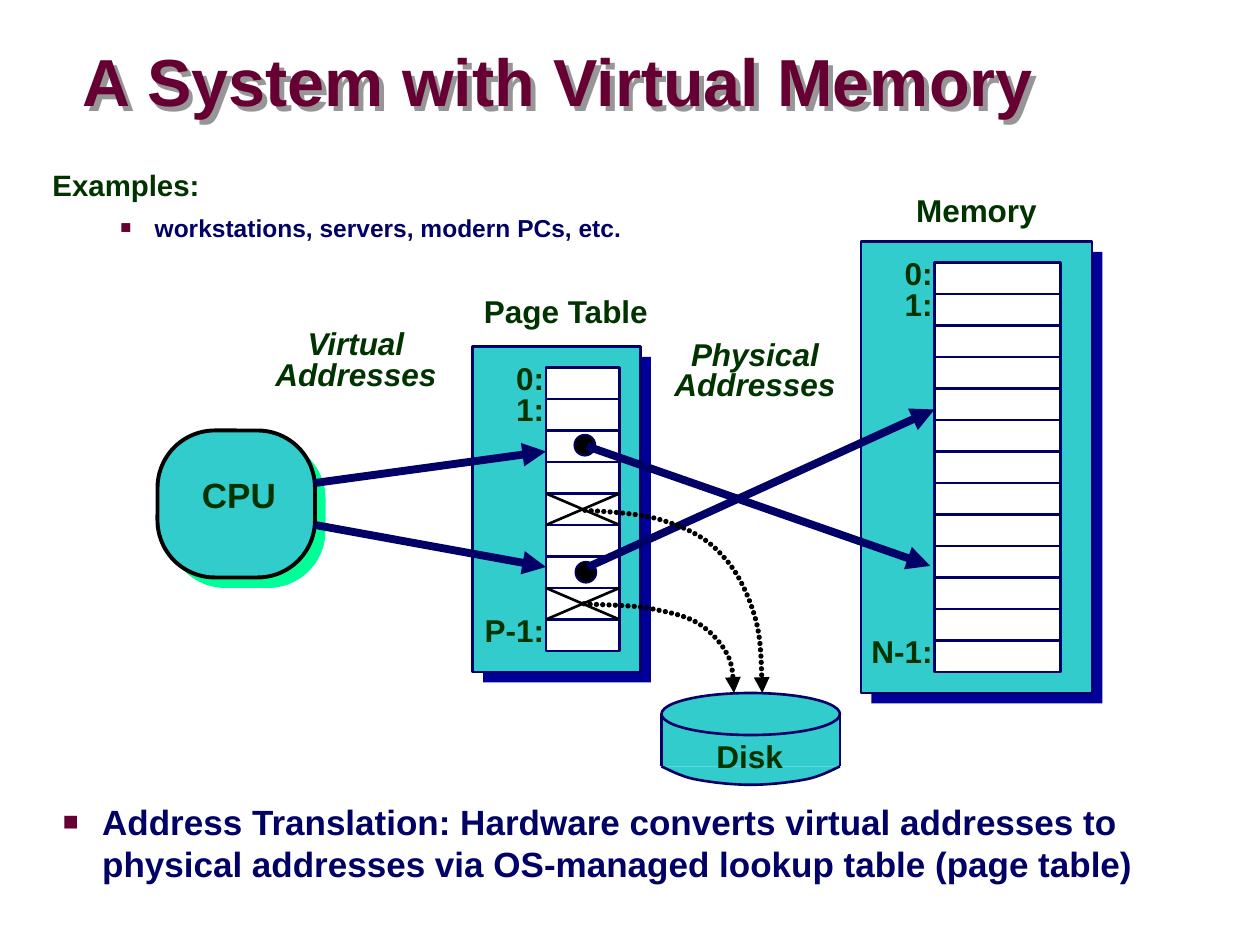
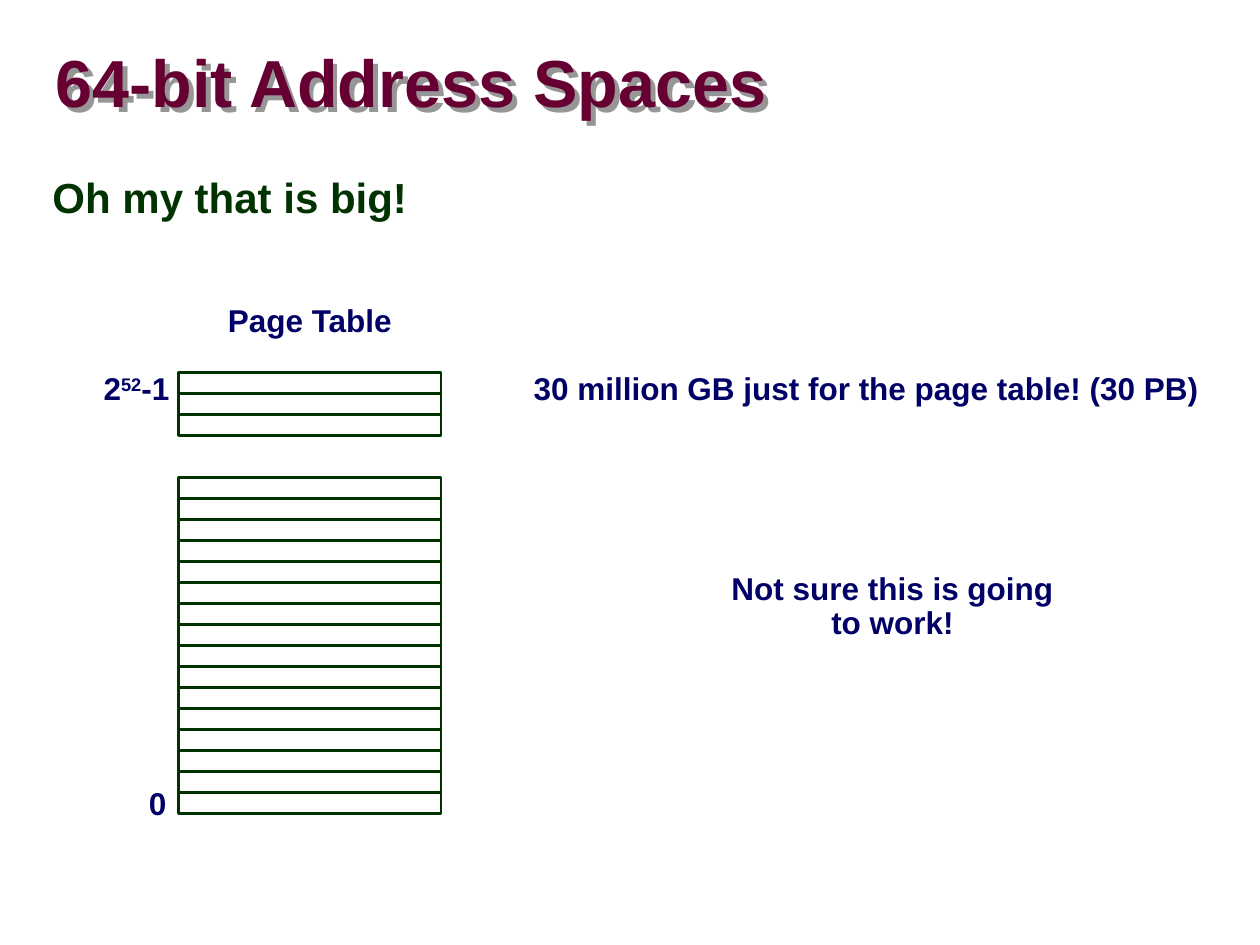
"""Build two slides on virtual memory and page tables."""
import dataclasses

import lxml.etree
import pptx
import pptx.dml.color
import pptx.enum.shapes
import pptx.enum.text
import pptx.oxml.ns
import pptx.util

Cm, Pt = pptx.util.Cm, pptx.util.Pt
SHAPE = pptx.enum.shapes.MSO_SHAPE
ALIGN = pptx.enum.text.PP_ALIGN
ANCHOR = pptx.enum.text.MSO_ANCHOR
qn = pptx.oxml.ns.qn


@dataclasses.dataclass(frozen=True)
class Theme:
    font: str = "Arial"
    maroon: str = "660033"
    green: str = "003300"
    navy: str = "000066"
    blue: str = "000099"
    teal: str = "33CCCC"
    mint: str = "00FF99"
    white: str = "FFFFFF"
    black: str = "000000"
    grey: str = "969696"
    title: float = 38
    lead: float = 24
    large: float = 20
    label: float = 18
    small: float = 16.8
    item: float = 14


def rgb(color):
    return pptx.dml.color.RGBColor.from_string(color)


def grid(*values):
    return [Cm(v * 2.54 / 12) for v in values]


def add(parent, tag, **attrs):
    return lxml.etree.SubElement(parent, qn(tag), attrs)


def bezier(points, steps=10):
    curve = [points[0]]
    for i in range(0, len(points) - 1, 3):
        a, b, c, d = points[i:i + 4]
        for k in range(1, steps + 1):
            t = k / steps
            u = 1 - t
            curve.append([u**3 * a[j] + 3 * u * u * t * b[j] + 3 * u * t * t * c[j] + t**3 * d[j]
                          for j in (0, 1)])
    return curve


class Deck:
    def __init__(self, theme):
        self.theme = theme
        self.prs = pptx.Presentation()
        self.prs.slide_width, self.prs.slide_height = Cm(25.4), Cm(19.05)
        self.s = None

    def slide(self, title, box):
        self.s = self.prs.slides.add_slide(self.prs.slide_layouts[1])
        sp = self.s.shapes.title
        tf = self.frame(sp, box, inset=0, anchor=ANCHOR.MIDDLE)
        tf.text = title
        self.style(tf.paragraphs[0], self.theme.title, self.theme.maroon, 0.87)
        shadow = add(add(sp.element.spPr, "a:effectLst"), "a:outerShdw",
                     dist=str(Cm(0.14)), dir="2700000", algn="ctr", rotWithShape="0")
        add(shadow, "a:srgbClr", val=self.theme.grey)

    def frame(self, sp, box, inset=1.2, anchor=ANCHOR.TOP, wrap=True):
        sp.left, sp.top, sp.width, sp.height = grid(*box)
        tf = sp.text_frame
        tf.auto_size = pptx.enum.text.MSO_AUTO_SIZE.NONE
        tf.word_wrap, tf.vertical_anchor = wrap, anchor
        tf.margin_left = tf.margin_right = grid(inset)[0]
        tf.margin_top = tf.margin_bottom = grid(inset / 2)[0]
        return tf

    def style(self, p, size, color, spacing=1.0, align=ALIGN.LEFT, italic=False, before=0):
        p.alignment, p.line_spacing = align, spacing
        p.space_before = Pt(before)
        for r in p.runs:
            r.font.name, r.font.size = self.theme.font, Pt(size)
            r.font.bold, r.font.italic = True, italic
            r.font.color.rgb = rgb(color)

    def bullet(self, p, margin, hang):
        pPr = p._p.get_or_add_pPr()
        pPr.set("marL", str(Cm(margin)))
        pPr.set("indent", str(-Cm(hang)))
        add(add(pPr, "a:buClr"), "a:srgbClr", val=self.theme.maroon)
        add(pPr, "a:buSzPct", val="75000")
        add(pPr, "a:buFont", typeface=self.theme.font)
        add(pPr, "a:buChar", char="■")

    def body(self, box, heading, size, spacing, item=None):
        tf = self.frame(self.s.placeholders[1], box)
        tf.text = heading
        p = tf.paragraphs[0]
        pPr = p._p.get_or_add_pPr()
        pPr.set("marL", "0")
        pPr.set("indent", "0")
        add(pPr, "a:buNone")
        self.style(p, size, self.theme.green, spacing)
        if item:
            p = tf.add_paragraph()
            p.text, p.level = item, 1
            self.bullet(p, 2.06, 0.69)
            self.style(p, self.theme.item, self.theme.navy, before=6.2)

    def statement(self, box, text):
        sp = self.s.shapes.add_textbox(*grid(*box))
        tf = self.frame(sp, box, inset=0, anchor=ANCHOR.MIDDLE)
        tf.text = text
        self.bullet(tf.paragraphs[0], 0.79, 0.79)
        self.style(tf.paragraphs[0], self.theme.large, self.theme.navy)

    def label(self, box, text, color=None, size=None, spacing=0.9, align=ALIGN.CENTER,
              italic=False, wrap=False, power="", rest=""):
        sp = self.s.shapes.add_textbox(*grid(*box))
        tf = self.frame(sp, box, wrap=wrap)
        tf.text = text
        if power:
            r = tf.paragraphs[0].add_run()
            r.text = power
            r._r.get_or_add_rPr().set("baseline", "30000")
            tf.paragraphs[0].add_run().text = rest
        for p in tf.paragraphs:
            self.style(p, size or self.theme.label, color or self.theme.green,
                       spacing, align, italic)

    def paint(self, sp, fill=None, line=None, width=1.5):
        sp.shadow.inherit = False
        if fill:
            sp.fill.solid()
            sp.fill.fore_color.rgb = rgb(fill)
        else:
            sp.fill.background()
        if line:
            sp.line.color.rgb = rgb(line)
            sp.line.width = Pt(width)
        else:
            sp.line.fill.background()
        return sp

    def shape(self, kind, box, fill=None, line=None, width=1.5):
        return self.paint(self.s.shapes.add_shape(kind, *grid(*box)), fill, line, width)

    def raised(self, kind, box, shade, line, width=1.5, corner=None):
        x, y, w, h = box
        back = self.shape(kind, (x + 1, y + 1, w, h), shade)
        front = self.shape(kind, box, self.theme.teal, line, width)
        if corner:
            back.adjustments[0] = front.adjustments[0] = corner

    def rows(self, x, y, w, h, count, fill, line):
        for i in range(count):
            self.shape(SHAPE.RECTANGLE, (x, y + i * h, w, h), fill, line)

    def memory(self, panel, x, y, w, count, last):
        self.raised(SHAPE.RECTANGLE, panel, self.theme.blue, self.theme.navy)
        self.rows(x, y, w, 3, count, self.theme.white, self.theme.navy)
        for i, text in ((0, "0:"), (1, "1:"), (count - 1, last)):
            self.label((x - 7, y + 3 * i - 1, 8, 4.4), text, align=ALIGN.RIGHT)

    def line(self, start, end, color, width=1.5, arrow=False):
        c = self.s.shapes.add_connector(pptx.enum.shapes.MSO_CONNECTOR.STRAIGHT,
                                        *grid(*start, *end))
        c.line.color.rgb = rgb(color)
        c.line.width = Pt(width)
        if arrow:
            add(c.line._get_or_add_ln(), "a:tailEnd", type="triangle")
        add(c._element.spPr, "a:effectLst")

    def cross(self, x, y, w, h):
        self.line((x, y + h), (x + w, y), self.theme.black)
        self.line((x + w, y + h), (x, y), self.theme.black)

    def curve(self, points, fill, line, width=1.5):
        start, *others = [grid(*point) for point in bezier(points)]
        builder = self.s.shapes.build_freeform(*start)
        builder.add_line_segments(others, close=False)
        return self.paint(builder.convert_to_shape(), fill, line, width)

    def dotted_arrow(self, points):
        ln = self.curve(points, None, self.theme.black, 3).line._get_or_add_ln()
        ln.set("cap", "rnd")
        add(add(ln, "a:custDash"), "a:ds", d="100000", sp="20000")
        add(ln, "a:tailEnd", type="triangle")

    def disk(self, x, y, w):
        t = self.theme
        self.shape(SHAPE.RECTANGLE, (x, y + 2, w, 5), t.teal)
        self.shape(SHAPE.OVAL, (x, y, w, 4), t.teal, t.navy)
        for side in (x, x + w):
            self.line((side, y + 2), (side, y + 7), t.navy)
        left = [(0, 7), (0.5, 7.2), (1.7, 7.9), (3.1, 8.2), (4.6, 8.5), (6.7, 8.75)]
        rim = left + [(w / 2, 8.75)] + [(w - dx, dy) for dx, dy in reversed(left)]
        self.curve([(x + dx, y + dy) for dx, dy in rim], t.teal, t.navy)
        self.label((x + 4, y + 4, 8.8, 4.4), "Disk")


def virtual_memory(deck):
    t = deck.theme
    deck.slide("A System with Virtual Memory", (7.9, 4.4, 94.7, 7.6))
    deck.body((3.8, 16.1, 109, 8), "Examples:", t.small, 0.75,
              "workstations, servers, modern PCs, etc.")
    deck.statement((6, 76, 107, 8.4),
                   "Address Translation: Hardware converts virtual addresses to "
                   "physical addresses via OS-managed lookup table (page table)")
    deck.raised(SHAPE.ROUNDED_RECTANGLE, (15, 41, 15, 14), t.mint, t.black, 2.25, 0.39)
    deck.label((18, 45, 9.5, 4.8), "CPU", size=t.large)
    deck.memory((82, 23, 22, 43), 89, 25, 12, 13, "N-1:")
    deck.label((86, 18, 14, 4.4), "Memory")
    deck.memory((45, 33, 16, 31), 52, 35, 7, 9, "P-1:")
    deck.label((44.8, 27.6, 18.2, 4.4), "Page Table")
    for x, y in ((54.7, 41.4), (54.8, 53.5)):
        deck.shape(SHAPE.OVAL, (x, y, 2, 2), t.black, t.navy, 1)
    for start, end in (((30, 46), (52, 43)), ((30, 50), (52, 54)),
                       ((55.9, 42.5), (88.6, 53.9)), ((56, 54), (89, 39))):
        deck.line(start, end, t.navy, 4.5, arrow=True)
    for y in (47, 56):
        deck.cross(52, y, 7, 3)
    deck.disk(63, 66, 17)
    deck.dotted_arrow([(55.7, 48.6), (56.9, 48.7), (60.7, 48.8), (62.9, 49.5), (65, 50.1),
                       (67.2, 51.1), (68.7, 52.8), (70.3, 54.4), (71.4, 56.9), (72, 59.1),
                       (72.6, 61.3), (72.5, 64.5), (72.6, 66)])
    deck.dotted_arrow([(55.6, 57.5), (56.5, 57.6), (59.8, 57.6), (61.7, 57.9), (63.6, 58.3),
                       (65.4, 58.6), (66.7, 59.5), (67.9, 60.3), (68.9, 61.5), (69.4, 62.6),
                       (69.9, 63.7), (69.8, 65.3), (69.9, 66)])
    for x, y, kind in ((25, 31, "Virtual"), (63, 32, "Physical")):
        deck.label((x, y, 17.8, 7), kind + "\nAddresses", spacing=0.8, italic=True)


def address_spaces(deck):
    t = deck.theme
    deck.slide("64-bit Address Spaces", (5.3, 3.2, 112.7, 10.2))
    deck.body((3.8, 16.1, 109, 10), "Oh my that is big!", t.lead, 0.95)
    for y, count in ((35.5, 3), (45.5, 16)):
        deck.rows(17, y, 25, 2, count, None, t.green)
    deck.label((13, 74.5, 4, 4.4), "0", t.navy)
    deck.label((7, 35, 12, 4.4), "2", t.navy, power="52", rest="-1")
    deck.label((19, 28.5, 21, 4.4), "Page Table", t.navy)
    deck.label((47, 35, 71, 4.4), "30 million GB just for the page table! (30 PB)", t.navy)
    deck.label((67, 54, 36, 7.7), "Not sure this is going to work!", t.navy, wrap=True)


def main():
    deck = Deck(Theme())
    virtual_memory(deck)
    address_spaces(deck)
    deck.prs.save("out.pptx")


if __name__ == "__main__":
    main()
